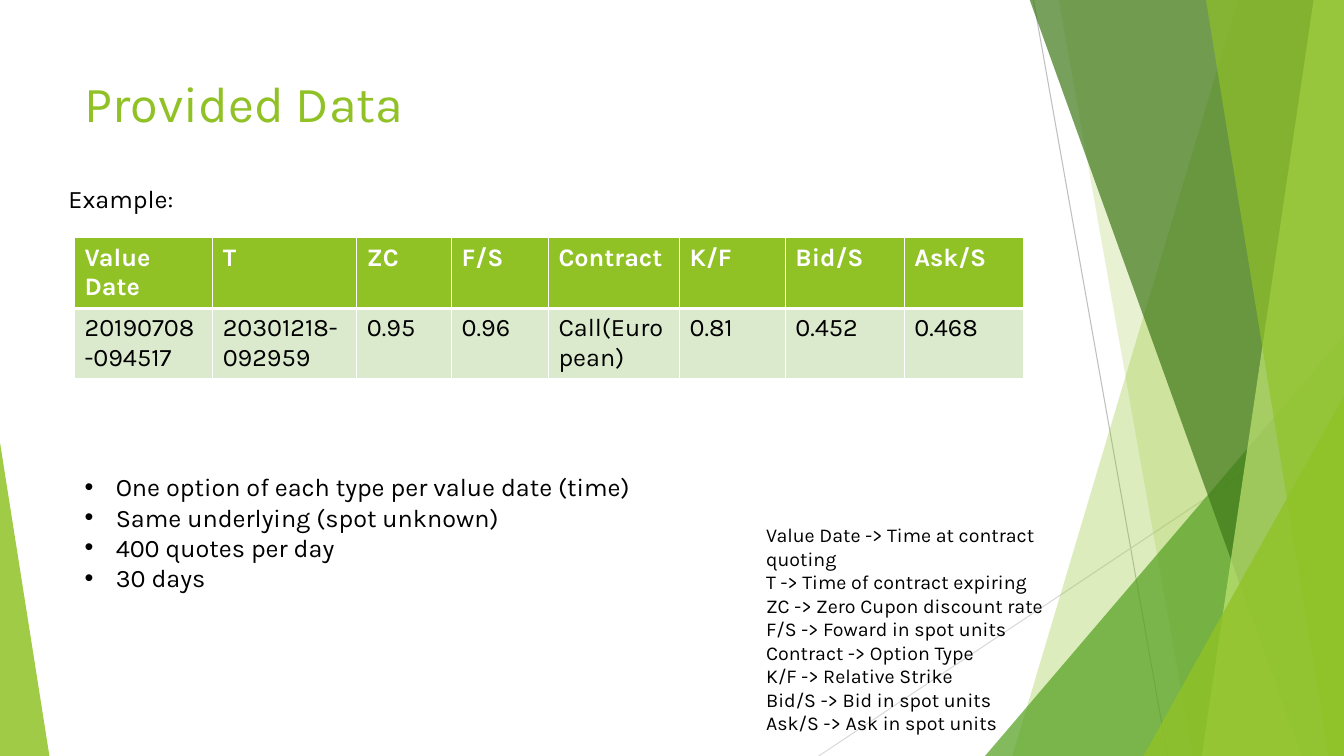
"""Builds the Provided Data slide: an example quote table, notes and a column legend."""
import dataclasses

import lxml.etree
import pptx
import pptx.dml.color
import pptx.enum.shapes
import pptx.enum.text
import pptx.oxml.ns
import pptx.util

Inches = pptx.util.Inches
Pt = pptx.util.Pt
qn = pptx.oxml.ns.qn


@dataclasses.dataclass(frozen=True)
class Theme:
    font: str = "Karla"
    lime: str = "90C226"
    green: str = "54A021"
    forest: str = "3F7819"
    pale: str = "C0E474"
    body_row: str = "DBE9CD"
    white: str = "FFFFFF"
    black: str = "000000"
    dark_rule: str = "BFBFBF"
    light_rule: str = "D9D9D9"
    title_size: int = 36
    body_size: int = 18
    legend_size: int = 14


THEME = Theme()
WIDTH, HEIGHT, BLEED = 13.33, 7.5, -0.01

RULES = [
    (10.25, 0, 11.58, HEIGHT, THEME.dark_rule),
    (WIDTH, 4.03, 8.12, HEIGHT, THEME.light_rule),
]
QUOTE = {
    "Value Date": ("20190708-094517", 1.37),
    "T": ("20301218-092959", 1.43),
    "ZC": ("0.95", 0.94),
    "F/S": ("0.96", 0.96),
    "Contract": ("Call(European)", 1.3),
    "K/F": ("0.81", 1.05),
    "Bid/S": ("0.452", 1.18),
    "Ask/S": ("0.468", 1.18),
}
NOTES = [
    "One option of each type per value date (time)",
    "Same underlying (spot unknown)",
    "400 quotes per day",
    "30 days",
]
LEGEND = {
    "Value Date": "Time at contract quoting",
    "T": "Time of contract expiring",
    "ZC": "Zero Cupon discount rate",
    "F/S": "Foward in spot units",
    "Contract": "Option Type",
    "K/F": "Relative Strike",
    "Bid/S": "Bid in spot units",
    "Ask/S": "Ask in spot units",
}


def rgb(code):
    return pptx.dml.color.RGBColor.from_string(code)


def apply(target, values):
    for name, value in values.items():
        setattr(target, name, value)


def style_run(run, size, color, bold=False):
    apply(run.font, {"name": THEME.font, "size": Pt(size), "bold": bold})
    run.font.color.rgb = rgb(color)


def paint(shape, color, opacity):
    shape.shadow.inherit = False
    shape.fill.solid()
    shape.fill.fore_color.rgb = rgb(color)
    shape.line.fill.background()
    tint = shape.element.spPr.find(qn("a:solidFill")).find(qn("a:srgbClr"))
    lxml.etree.SubElement(tint, qn("a:alpha"), val=str(opacity * 1000))


def add_rule(slide, x1, y1, x2, y2, color):
    rule = slide.shapes.add_connector(
        pptx.enum.shapes.MSO_CONNECTOR.STRAIGHT, *map(Inches, (x1, y1, x2, y2)))
    rule.line.color.rgb = rgb(color)
    rule.line.width = Pt(0.75)
    lxml.etree.SubElement(rule.element.spPr, qn("a:effectLst"))


def add_panel(slide, top_x, bottom_x, color, opacity):
    corners = [(WIDTH, BLEED), (WIDTH, HEIGHT), (bottom_x, HEIGHT)]
    outline = slide.shapes.build_freeform(Inches(top_x), Inches(BLEED))
    outline.add_line_segments([(Inches(x), Inches(y)) for x, y in corners], close=True)
    paint(outline.convert_to_shape(), color, opacity)


def add_wedge(slide, left, width, height, apex, color, opacity):
    wedge = slide.shapes.add_shape(
        pptx.enum.shapes.MSO_SHAPE.ISOSCELES_TRIANGLE,
        *map(Inches, (left, HEIGHT - height, width, height)))
    wedge.adjustments[0] = apex
    paint(wedge, color, opacity)


def add_backdrop(slide):
    for rule in RULES:
        add_rule(slide, *rule)
    add_panel(slide, 12.28, 10.04, THEME.lime, 30)
    add_panel(slide, 10.5, 11.83, THEME.lime, 20)
    add_wedge(slide, 9.77, 3.56, 4.17, 1, THEME.green, 72)
    add_panel(slide, 10.21, 12.91, THEME.forest, 70)
    add_panel(slide, 13.03, 11.92, THEME.pale, 70)
    add_panel(slide, 11.96, 13.18, THEME.lime, 65)
    add_wedge(slide, 11.34, 1.99, 3.57, 1, THEME.lime, 80)
    add_wedge(slide, 0, 0.49, 3.11, 0, THEME.lime, 85)


def add_text(slide, box, lines, size, color=THEME.black, bulleted=False):
    frame = slide.shapes.add_textbox(*map(Inches, box)).text_frame
    apply(frame, {"word_wrap": True, "vertical_anchor": pptx.enum.text.MSO_ANCHOR.TOP})
    for index, line in enumerate(lines):
        paragraph = frame.paragraphs[0] if index == 0 else frame.add_paragraph()
        run = paragraph.add_run()
        run.text = line
        style_run(run, size, color)
        if bulleted:
            add_bullet(paragraph)


def add_bullet(paragraph):
    indent = Inches(0.31)
    properties = paragraph._p.get_or_add_pPr()
    properties.set("marL", str(indent))
    properties.set("indent", str(-indent))
    lxml.etree.SubElement(properties, qn("a:buFont"), typeface="Arial")
    lxml.etree.SubElement(properties, qn("a:buChar"), char="•")


def add_borders(cell, widths):
    properties = cell._tc.get_or_add_tcPr()
    for side, width in widths.items():
        edge = lxml.etree.SubElement(properties, qn("a:ln" + side), w=str(Pt(width)))
        fill = lxml.etree.SubElement(edge, qn("a:solidFill"))
        lxml.etree.SubElement(fill, qn("a:srgbClr"), val=THEME.white)


def fill_cell(cell, text, fill, color, bold, widths):
    add_borders(cell, widths)
    cell.fill.solid()
    cell.fill.fore_color.rgb = rgb(fill)
    run = cell.text_frame.paragraphs[0].add_run()
    run.text = text
    style_run(run, THEME.body_size, color, bold)


def add_quote_table(slide):
    table = slide.shapes.add_table(
        2, len(QUOTE), *map(Inches, (0.74, 2.36, 9.4, 1.4))).table
    for row in table.rows:
        row.height = Inches(0.41)
    thin = dict.fromkeys("LRTB", 1)
    for column, (heading, (value, width)) in enumerate(QUOTE.items()):
        table.columns[column].width = Inches(width)
        fill_cell(table.cell(0, column), heading, THEME.lime, THEME.white, True,
                  {**thin, "B": 3})
        fill_cell(table.cell(1, column), value, THEME.body_row, THEME.black, False,
                  {**thin, "T": 3})


def main():
    deck = pptx.Presentation()
    apply(deck, {"slide_width": Inches(WIDTH), "slide_height": Inches(HEIGHT)})
    slide = deck.slides.add_slide(deck.slide_layouts[6])
    add_backdrop(slide)
    add_text(slide, (0.74, 0.67, 9.4, 1.44), ["Provided Data"],
             THEME.title_size, THEME.lime)
    add_quote_table(slide)
    add_text(slide, (0.74, 4.63, 8.57, 1.31), NOTES, THEME.body_size, bulleted=True)
    add_text(slide, (0.58, 1.77, 2.41, 0.4), ["Example:"], THEME.body_size)
    add_text(slide, (7.5, 5.14, 2.95, 2.22),
             [f"{term} -> {meaning}" for term, meaning in LEGEND.items()],
             THEME.legend_size)
    deck.save("out.pptx")


main()
